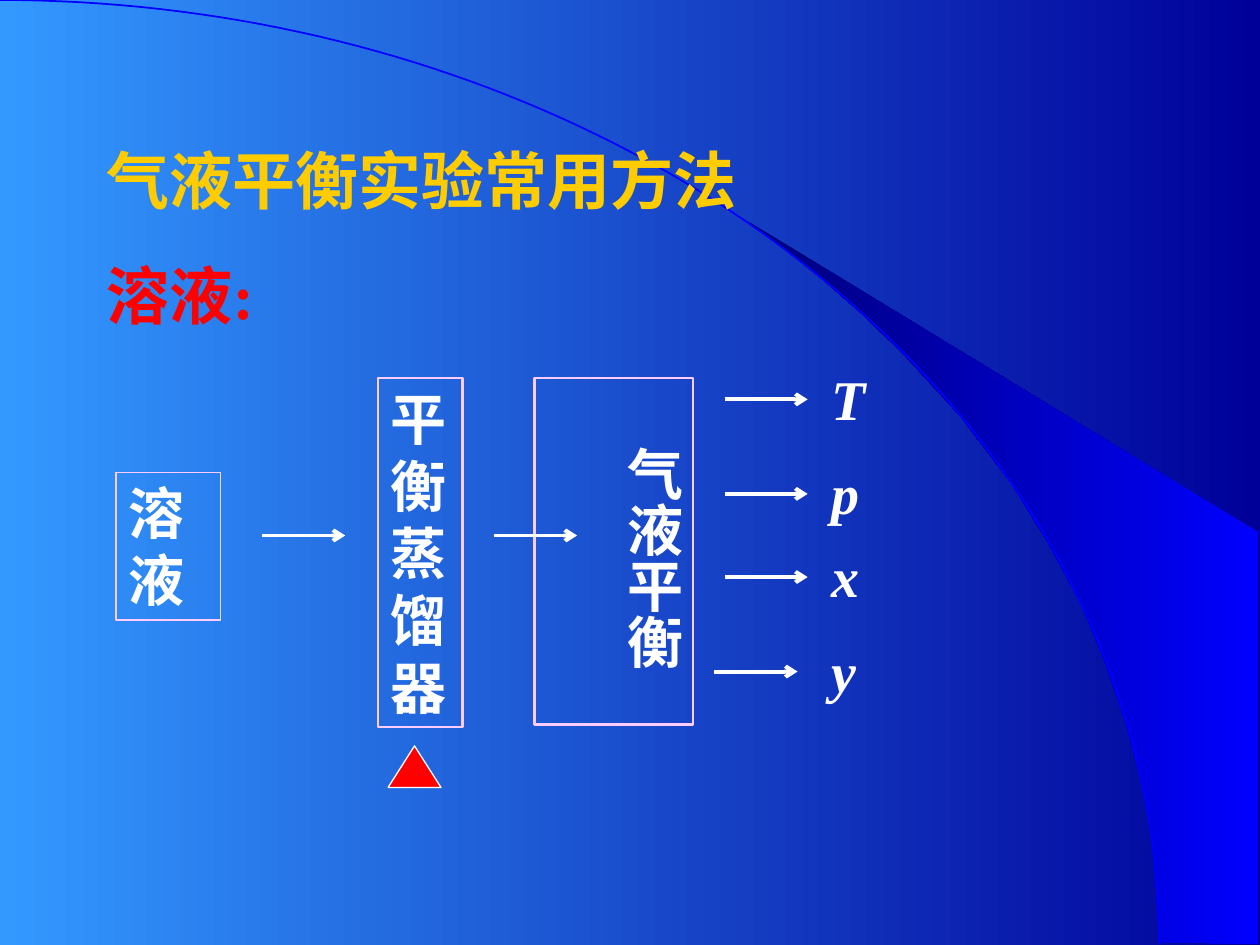
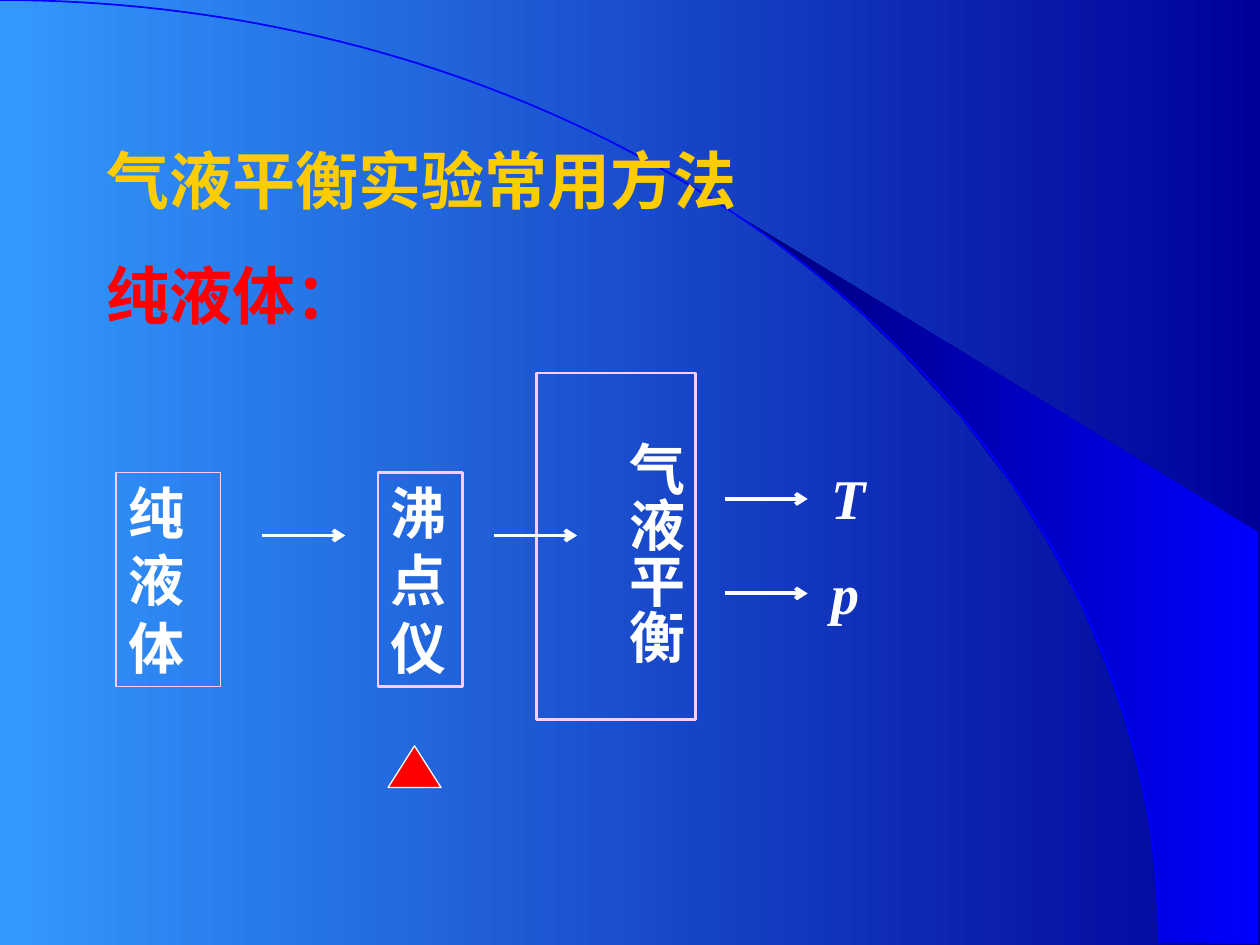
from dataclasses import dataclass
from math import cos, pi, sin

from lxml import etree
from pptx import Presentation
from pptx.dml.color import RGBColor
from pptx.enum.lang import MSO_LANGUAGE_ID
from pptx.enum.shapes import MSO_CONNECTOR, MSO_SHAPE
from pptx.enum.text import MSO_ANCHOR, PP_ALIGN
from pptx.oxml.ns import qn
from pptx.util import Inches, Pt

RECTANGLE = MSO_SHAPE.RECTANGLE
TRIANGLE = MSO_SHAPE.ISOSCELES_TRIANGLE
STRAIGHT = MSO_CONNECTOR.STRAIGHT
TOP = MSO_ANCHOR.TOP
LEFT = PP_ALIGN.LEFT
CHINESE = MSO_LANGUAGE_ID.SIMPLIFIED_CHINESE

HEADING = "气液平衡实验常用方法"
EQUILIBRIUM = "气液平衡"

SLIDES = [
    {
        "subject": "溶液:",
        "sample": ("溶液", (0.92, 3.75, 0.83, 1.17)),
        "apparatus": ("平衡蒸馏器", (3, 3, 0.67, 2.77)),
        "equilibrium": (4.24, 3, 1.26, 2.75),
        "results": [("T", 5.75, 3.17), ("p", 5.75, 3.92),
                    ("x", 5.75, 4.58), ("y", 5.67, 5.33)],
    },
    {
        "subject": "纯液体：",
        "sample": ("纯液体", (0.92, 3.75, 0.83, 1.7)),
        "apparatus": ("沸点仪", (3, 3.75, 0.67, 1.7)),
        "equilibrium": (4.26, 2.96, 1.26, 2.75),
        "results": [("T", 5.75, 3.96), ("p", 5.75, 4.71)],
    },
]

HEADING_BOX = (0.75, 1.07, 6.42, 1.61)
HEATER_BOX = (3.08, 5.92, 0.42, 0.33)
PROCESS_ARROWS = [(2.08, 4.25), (3.92, 4.25)]
ARROW_LENGTH = 0.66
SYMBOL_LEFT, SYMBOL_RISE = 6.5, 0.33
SYMBOL_SIZE = (0.75, 0.64)
SIDE_INSETS = (0.1, 0.05, 0.1, 0.05)
VERTICAL_INSETS = (0.05, 0.54, 0.05, 0.1)

WEDGE = [
    (9.2, 7.48), (9.99, 7.49), (9.99, 4.23), (5.89, 1.73), (6.24, 1.99),
    (6.53, 2.22), (6.85, 2.5), (7.16, 2.8), (7.62, 3.3), (8.03, 3.84),
    (8.32, 4.31), (8.58, 4.79), (8.78, 5.28), (8.93, 5.72), (9.03, 6.09),
    (9.13, 6.56), (9.17, 6.96),
]
ARC_WIDTH, ARC_HEIGHT, ARC_STEPS = 9.2, 7.49, 90
ARC = [
    (ARC_WIDTH * sin(step * pi / 2 / ARC_STEPS),
     ARC_HEIGHT * (1 - cos(step * pi / 2 / ARC_STEPS)))
    for step in range(ARC_STEPS + 1)
]


@dataclass(frozen=True)
class Theme:
    background: tuple = ("3399FF", "000099")
    wedge: tuple = ("000076", "0000FF")
    arc: str = "0000FF"
    heading: str = "FFCC00"
    subject: str = "FF0000"
    heater: str = "FF0000"
    text: str = "FFFFFF"
    frame: str = "FFCCFF"
    font: str = "Times New Roman"
    heading_size: float = 36
    body_size: float = 32
    subject_gap: float = 22.5
    thin: float = 1
    medium: float = 1.5
    arrow: float = 2.25
    heater_line: float = 0.75


THEME = Theme()


def color(value):
    return RGBColor.from_string(value)


def lengths(values):
    return [Inches(value) for value in values]


def fill_gradient(fill, colors):
    fill.gradient()
    fill.gradient_angle = 0
    for stop, position, value in zip(fill.gradient_stops, (0, 1), colors):
        stop.position = position
        stop.color.rgb = color(value)


def set_line(line, value, width):
    line.color.rgb = color(value)
    line.width = Pt(width)


def write(paragraph, text, size, value, italic=False):
    paragraph.alignment = LEFT
    run = paragraph.add_run()
    run.text = text
    formats = {"name": THEME.font, "size": Pt(size), "bold": True,
               "italic": italic, "language_id": CHINESE}
    for name, setting in formats.items():
        setattr(run.font, name, setting)
    run.font.color.rgb = color(value)


def prepare_frame(shape, insets=SIDE_INSETS):
    frame = shape.text_frame
    left, top, right, bottom = lengths(insets)
    formats = {"word_wrap": True, "vertical_anchor": TOP,
               "margin_left": left, "margin_top": top,
               "margin_right": right, "margin_bottom": bottom}
    for name, setting in formats.items():
        setattr(frame, name, setting)
    return frame


def add_outline(slide, points, close):
    corners = [lengths(point) for point in points]
    builder = slide.shapes.build_freeform(*corners[0])
    builder.add_line_segments(corners[1:], close=close)
    shape = builder.convert_to_shape()
    shape.shadow.inherit = False
    return shape


def add_backdrop(slide):
    fill_gradient(slide.background.fill, THEME.background)
    wedge = add_outline(slide, WEDGE, True)
    fill_gradient(wedge.fill, THEME.wedge)
    wedge.line.fill.background()
    arc = add_outline(slide, ARC, False)
    arc.fill.background()
    set_line(arc.line, THEME.arc, THEME.thin)


def add_stage(slide, text, box, width, insets=SIDE_INSETS):
    shape = slide.shapes.add_shape(RECTANGLE, *lengths(box))
    shape.shadow.inherit = False
    shape.fill.background()
    set_line(shape.line, THEME.frame, width)
    frame = prepare_frame(shape, insets)
    write(frame.paragraphs[0], text, THEME.body_size, THEME.text)
    return frame


def add_arrow(slide, left, y):
    ends = lengths((left, y, left + ARROW_LENGTH, y))
    connector = slide.shapes.add_connector(STRAIGHT, *ends)
    set_line(connector.line, THEME.text, THEME.arrow)
    properties = connector.line._get_or_add_ln()
    etree.SubElement(properties, qn("a:tailEnd"), type="arrow")
    etree.SubElement(properties.getparent(), qn("a:effectLst"))


def add_heater(slide):
    heater = slide.shapes.add_shape(TRIANGLE, *lengths(HEATER_BOX))
    heater.shadow.inherit = False
    heater.fill.solid()
    heater.fill.fore_color.rgb = color(THEME.heater)
    set_line(heater.line, THEME.text, THEME.heater_line)


def add_result(slide, symbol, arrow_left, y):
    add_arrow(slide, arrow_left, y)
    box = (SYMBOL_LEFT, y - SYMBOL_RISE, *SYMBOL_SIZE)
    frame = prepare_frame(slide.shapes.add_textbox(*lengths(box)))
    write(frame.paragraphs[0], symbol, THEME.body_size, THEME.text, True)


def add_heading(slide, subject):
    frame = prepare_frame(slide.shapes.add_textbox(*lengths(HEADING_BOX)))
    write(frame.paragraphs[0], HEADING, THEME.heading_size, THEME.heading)
    paragraph = frame.add_paragraph()
    paragraph.space_before = Pt(THEME.subject_gap)
    write(paragraph, subject, THEME.heading_size, THEME.subject)


def build_slide(presentation, content):
    slide = presentation.slides.add_slide(presentation.slide_layouts[6])
    add_backdrop(slide)
    add_stage(slide, *content["sample"], THEME.thin)
    add_stage(slide, *content["apparatus"], THEME.medium)
    add_heater(slide)
    vertical = add_stage(slide, EQUILIBRIUM, content["equilibrium"],
                         THEME.medium, VERTICAL_INSETS)
    vertical._txBody.bodyPr.set("vert", "eaVert")
    for left, y in PROCESS_ARROWS:
        add_arrow(slide, left, y)
    for result in content["results"]:
        add_result(slide, *result)
    add_heading(slide, content["subject"])


def main():
    presentation = Presentation()
    presentation.slide_width = Inches(10)
    presentation.slide_height = Inches(7.5)
    for content in SLIDES:
        build_slide(presentation, content)
    presentation.save("out.pptx")


if __name__ == "__main__":
    main()
